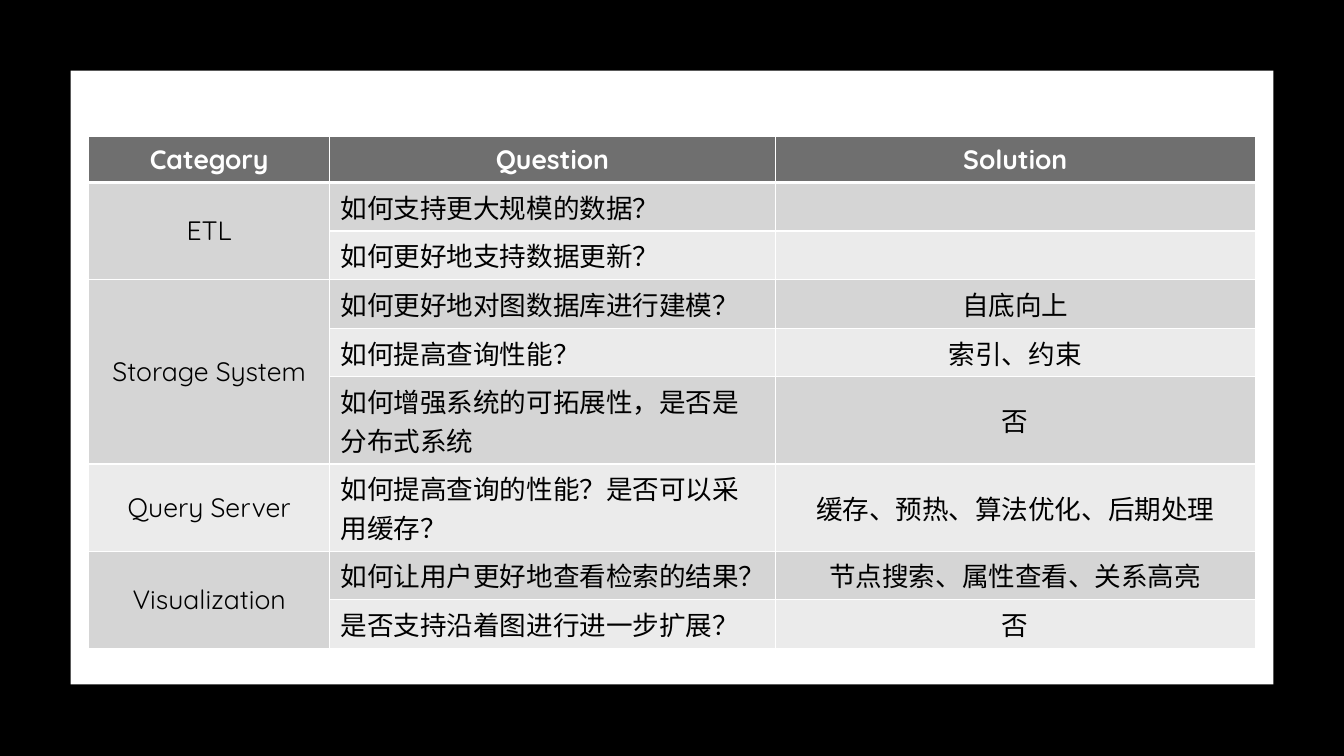
from lxml import etree
from pptx import Presentation
from pptx.dml.color import RGBColor
from pptx.enum.lang import MSO_LANGUAGE_ID
from pptx.enum.shapes import MSO_SHAPE
from pptx.enum.text import MSO_ANCHOR, PP_ALIGN
from pptx.oxml.ns import qn
from pptx.util import Inches, Pt

RECTANGLE = MSO_SHAPE.RECTANGLE
LEFT, CENTER = PP_ALIGN.LEFT, PP_ALIGN.CENTER
MIDDLE = MSO_ANCHOR.MIDDLE
CHINESE = MSO_LANGUAGE_ID.SIMPLIFIED_CHINESE

GRID_STEP = 0.1
SLIDE_COLUMNS, SLIDE_ROWS = 133.3, 75

HEADINGS = ["Category", "Question", "Solution"]
CATEGORIES = [
    ("ETL", [
        ("如何支持更大规模的数据？", ""),
        ("如何更好地支持数据更新？", ""),
    ]),
    ("Storage System", [
        ("如何更好地对图数据库进行建模？", "自底向上"),
        ("如何提高查询性能？", "索引、约束"),
        ("如何增强系统的可拓展性，是否是分布式系统", "否"),
    ]),
    ("Query Server", [
        ("如何提高查询的性能？是否可以采用缓存？", "缓存、预热、算法优化、后期处理"),
    ]),
    ("Visualization", [
        ("如何让用户更好地查看检索的结果？", "节点搜索、属性查看、关系高亮"),
        ("是否支持沿着图进行进一步扩展？", "否"),
    ]),
]
COLUMN_WIDTHS = [23.9, 44.2, 47.6]
SINGLE_LINE, DOUBLE_LINE = 4.6, 7.8
LINE_CAPACITY = 16


def color(value):
    return RGBColor.from_string(value)


def grid(count):
    return Inches(count * GRID_STEP)


def apply(target, values):
    for name, value in values.items():
        setattr(target, name, value)


class SlideBuilder:
    font_name = "Quicksand"
    font_size = 19
    panel_color = "FFFFFF"
    header_color = "6F6F6F"
    band_colors = ["EBEBEB", "D5D5D5"]
    border_color = "FFFFFF"
    cell_format = {
        "vertical_anchor": MIDDLE,
        "margin_left": Inches(0.11),
        "margin_right": Inches(0.11),
        "margin_top": Inches(0.05),
        "margin_bottom": Inches(0.05),
    }

    def __init__(self, presentation, background):
        self.slide = presentation.slides.add_slide(presentation.slide_layouts[6])
        fill = self.slide.background.fill
        fill.solid()
        fill.fore_color.rgb = color(background)

    def panel(self, column, row, width, height):
        shape = self.slide.shapes.add_shape(
            RECTANGLE, grid(column), grid(row), grid(width), grid(height))
        shape.shadow.inherit = False
        shape.fill.solid()
        shape.fill.fore_color.rgb = color(self.panel_color)
        shape.line.fill.background()

    def borders(self, cell, widths):
        properties = cell._tc.get_or_add_tcPr()
        for side in "LRTB":
            line = etree.SubElement(
                properties, qn(f"a:ln{side}"), w=str(Pt(widths.get(side, 1))))
            fill = etree.SubElement(line, qn("a:solidFill"))
            etree.SubElement(fill, qn("a:srgbClr"), val=self.border_color)

    def cell(self, cell, text, fill, alignment, text_color, bold):
        apply(cell, self.cell_format)
        cell.fill.solid()
        cell.fill.fore_color.rgb = color(fill)
        paragraph = cell.text_frame.paragraphs[0]
        paragraph.alignment = alignment
        if not text:
            paragraph.font.size = Pt(self.font_size)
            return
        run = paragraph.add_run()
        run.text = text
        apply(run.font, {
            "name": self.font_name,
            "size": Pt(self.font_size),
            "bold": bold,
            "language_id": CHINESE,
        })
        run.font.color.rgb = color(text_color)

    def table(self, column, row, widths, headings, categories):
        lines = [(category if index == 0 else "", *entry)
                 for category, entries in categories
                 for index, entry in enumerate(entries)]
        heights = [SINGLE_LINE] + [
            DOUBLE_LINE if len(question) > LINE_CAPACITY else SINGLE_LINE
            for _, question, _ in lines]
        table = self.slide.shapes.add_table(
            len(heights), len(widths), grid(column), grid(row),
            grid(sum(widths)), grid(sum(heights))).table
        for table_column, width in zip(table.columns, widths):
            table_column.width = grid(width)
        for table_row, height in zip(table.rows, heights):
            table_row.height = grid(height)

        for row_index, texts in enumerate([headings, *lines]):
            header = row_index == 0
            fill = self.header_color if header else self.band_colors[row_index % 2]
            edges = {0: {"B": 3}, 1: {"T": 3}}.get(row_index, {})
            for column_index, text in enumerate(texts):
                cell = table.cell(row_index, column_index)
                self.borders(cell, edges)
                question = column_index == 1 and not header
                self.cell(cell, text, fill, LEFT if question else CENTER,
                          "FFFFFF" if header else "000000", header)

        first = 1
        for _, entries in categories:
            last = first + len(entries) - 1
            if last > first:
                table.cell(first, 0).merge(table.cell(last, 0))
            first = last + 1


def main():
    presentation = Presentation()
    apply(presentation, {
        "slide_width": grid(SLIDE_COLUMNS),
        "slide_height": grid(SLIDE_ROWS),
    })
    builder = SlideBuilder(presentation, "000000")
    builder.panel(7, 7, 119.3, 60.9)
    builder.table(8.8, 13.5, COLUMN_WIDTHS, HEADINGS, CATEGORIES)
    presentation.save("out.pptx")


if __name__ == "__main__":
    main()
